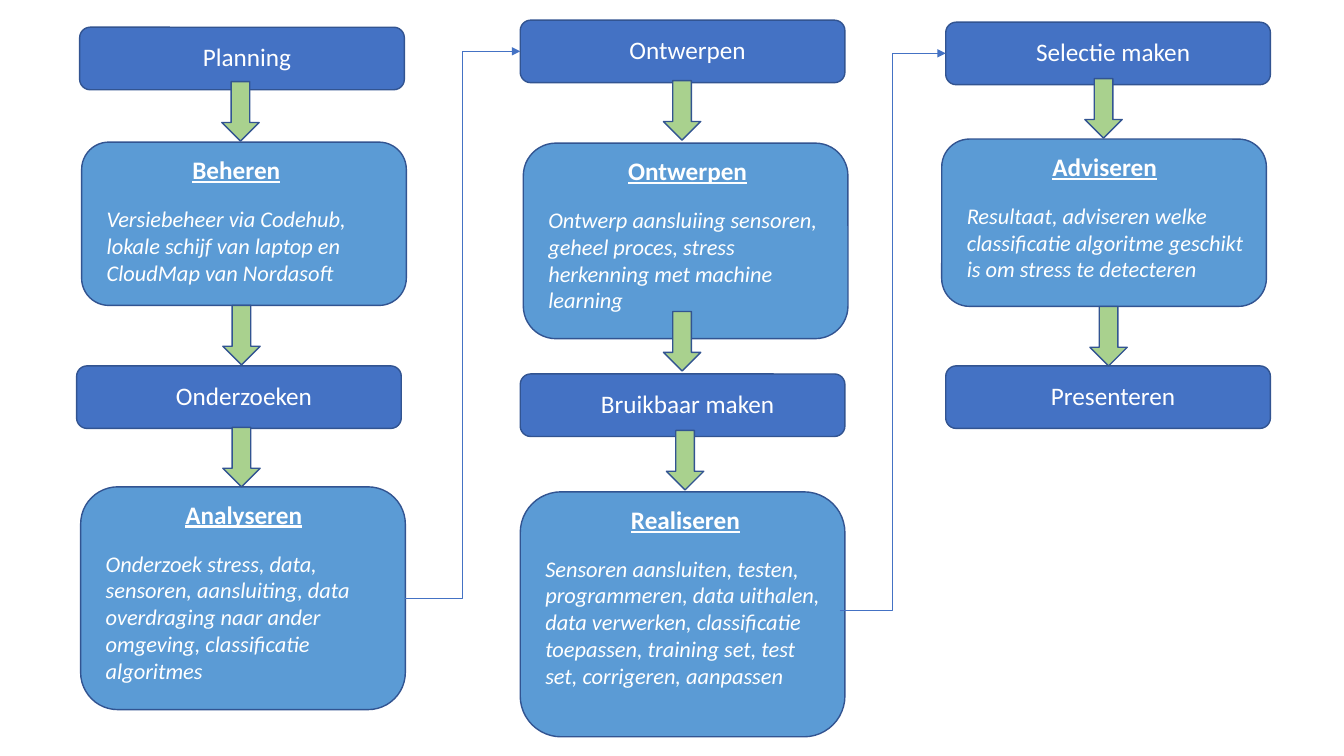
import dataclasses

import lxml.etree
import pptx
import pptx.dml.color
import pptx.enum.shapes
import pptx.enum.text
import pptx.oxml.ns
import pptx.shapes.autoshape
import pptx.shapes.connector
import pptx.slide
import pptx.text.text
import pptx.util

Inches = pptx.util.Inches
Pt = pptx.util.Pt
qn = pptx.oxml.ns.qn
Shape = pptx.shapes.autoshape.Shape
Slide = pptx.slide.Slide
Preset = pptx.enum.shapes.MSO_SHAPE

PHASE_FILL, TASK_FILL, ARROW_FILL = "4472C4", "5B9BD5", "A9D18E"
OUTLINE, WHITE = "325491", "FFFFFF"
BOX_WIDTH, TEXT_WIDTH, TEXT_INSET = 3.22, 3.02, 0.15
PHASE_HEIGHT = 0.62
ARROW_LENGTH, ARROW_BREADTH = 0.59, 0.37
LEFT_SITE, RIGHT_SITE = 1, 3

PHASE_FONT = {"name": "Calibri", "size": Pt(18)}
HEADING_FONT = {"name": "Calibri", "size": Pt(18), "bold": True, "underline": True}
DETAIL_FONT = {"name": "Calibri", "size": Pt(16), "italic": True}


@dataclasses.dataclass(frozen=True)
class Phase:
    name: str
    left: float
    top: float


@dataclasses.dataclass(frozen=True)
class Task:
    heading: str
    detail: str
    left: float
    top: float
    height: float
    text_height: float
    indent: float


@dataclasses.dataclass(frozen=True)
class Arrow:
    left: float
    top: float


PHASES = [
    Phase("Planning", 0.79, 0.27),
    Phase("Onderzoeken", 0.76, 3.63),
    Phase("Ontwerpen", 5.16, 0.2),
    Phase("Bruikbaar maken", 5.16, 3.71),
    Phase("Selectie maken", 9.38, 0.22),
    Phase("Presenteren", 9.38, 3.63),
]

TASKS = [
    Task("Beheren",
         "Versiebeheer via Codehub, lokale schijf van laptop en CloudMap van Nordasoft",
         0.81, 1.41, 1.62, 1.41, 0.85),
    Task("Analyseren",
         "Onderzoek stress, data, sensoren, aansluiting, data overdraging naar ander "
         "omgeving, classificatie algoritmes",
         0.8, 4.83, 2.21, 1.95, 0.79),
    Task("Ontwerpen",
         "Ontwerp aansluiing sensoren, geheel proces, stress herkenning met machine learning",
         5.19, 1.42, 1.94, 1.68, 0.79),
    Task("Realiseren",
         "Sensoren aansluiten, testen, programmeren, data uithalen, data verwerken, "
         "classificatie toepassen, training set, test set, corrigeren, aanpassen",
         5.16, 4.88, 2.43, 2.22, 0.85),
    Task("Adviseren",
         "Resultaat, adviseren welke classificatie algoritme geschikt is om stress te detecteren",
         9.34, 1.38, 1.66, 1.41, 0.85),
]

ARROWS = [
    Arrow(2.09, 0.92), Arrow(2.1, 3.14), Arrow(2.1, 4.35),
    Arrow(6.47, 0.91), Arrow(6.47, 3.2), Arrow(6.5, 4.38),
    Arrow(10.65, 0.89), Arrow(10.7, 3.15),
]


def color(value: str) -> pptx.dml.color.RGBColor:
    return pptx.dml.color.RGBColor.from_string(value)


def add_preset(slide: Slide, preset: Preset, left: float, top: float,
               width: float, height: float, fill: str) -> Shape:
    shape = slide.shapes.add_shape(
        preset, Inches(left), Inches(top), Inches(width), Inches(height))
    shape.shadow.inherit = False
    shape.fill.solid()
    shape.fill.fore_color.rgb = color(fill)
    shape.line.color.rgb = color(OUTLINE)
    shape.line.width = Pt(1)
    return shape


def add_text_box(slide: Slide, left: float, top: float, height: float) -> Shape:
    shape = slide.shapes.add_textbox(
        Inches(left + TEXT_INSET), Inches(top), Inches(TEXT_WIDTH), Inches(height))
    shape.text_frame.word_wrap = True
    shape.text_frame.auto_size = pptx.enum.text.MSO_AUTO_SIZE.SHAPE_TO_FIT_TEXT
    return shape


def write(paragraph: pptx.text.text._Paragraph, text: str, font_format: dict) -> None:
    run = paragraph.add_run()
    run.text = text
    for attribute, value in font_format.items():
        setattr(run.font, attribute, value)
    run.font.color.rgb = color(WHITE)


def add_phase(slide: Slide, phase: Phase) -> Shape:
    box = add_preset(slide, Preset.ROUNDED_RECTANGLE, phase.left, phase.top,
                     BOX_WIDTH, PHASE_HEIGHT, PHASE_FILL)
    label = add_text_box(slide, phase.left, phase.top + 0.09, 0.4)
    paragraph = label.text_frame.paragraphs[0]
    paragraph.alignment = pptx.enum.text.PP_ALIGN.CENTER
    write(paragraph, phase.name, PHASE_FONT)
    return box


def add_task(slide: Slide, task: Task) -> tuple[Shape, Shape]:
    box = add_preset(slide, Preset.ROUNDED_RECTANGLE, task.left, task.top,
                     BOX_WIDTH, task.height, TASK_FILL)
    label = add_text_box(slide, task.left, task.top + 0.07, task.text_height)
    heading = label.text_frame.paragraphs[0]
    heading.space_after = Pt(14.65)
    heading._p.get_or_add_pPr().set("marL", str(Inches(task.indent)))
    write(heading, task.heading, HEADING_FONT)
    write(label.text_frame.add_paragraph(), task.detail, DETAIL_FONT)
    return box, label


def add_arrow(slide: Slide, arrow: Arrow) -> None:
    shape = add_preset(slide, Preset.RIGHT_ARROW, arrow.left, arrow.top,
                       ARROW_LENGTH, ARROW_BREADTH, ARROW_FILL)
    shape.rotation = 90


def connect(slide: Slide, source: Shape, target: Shape) -> None:
    connector = slide.shapes.add_connector(
        pptx.enum.shapes.MSO_CONNECTOR.ELBOW,
        source.left + source.width, source.top + source.height // 2,
        target.left, target.top + target.height // 2)
    connector.begin_connect(source, RIGHT_SITE)
    connector.end_connect(target, LEFT_SITE)
    connector.line.color.rgb = color(PHASE_FILL)
    connector.line.width = Pt(0.5)
    properties = connector.element.spPr
    lxml.etree.SubElement(properties.find(qn("a:ln")), qn("a:tailEnd"), type="triangle")
    lxml.etree.SubElement(properties, qn("a:effectLst"))


def main() -> None:
    presentation = pptx.Presentation()
    presentation.slide_width = Inches(13.33)
    presentation.slide_height = Inches(7.5)
    slide = presentation.slides.add_slide(presentation.slide_layouts[6])

    phases = {phase.name: add_phase(slide, phase) for phase in PHASES}
    tasks = {task.heading: add_task(slide, task) for task in TASKS}
    for arrow in ARROWS:
        add_arrow(slide, arrow)

    analysis_box, _ = tasks["Analyseren"]
    _, realisation_text = tasks["Realiseren"]
    connect(slide, analysis_box, phases["Ontwerpen"])
    connect(slide, realisation_text, phases["Selectie maken"])

    presentation.save("out.pptx")


if __name__ == "__main__":
    main()
